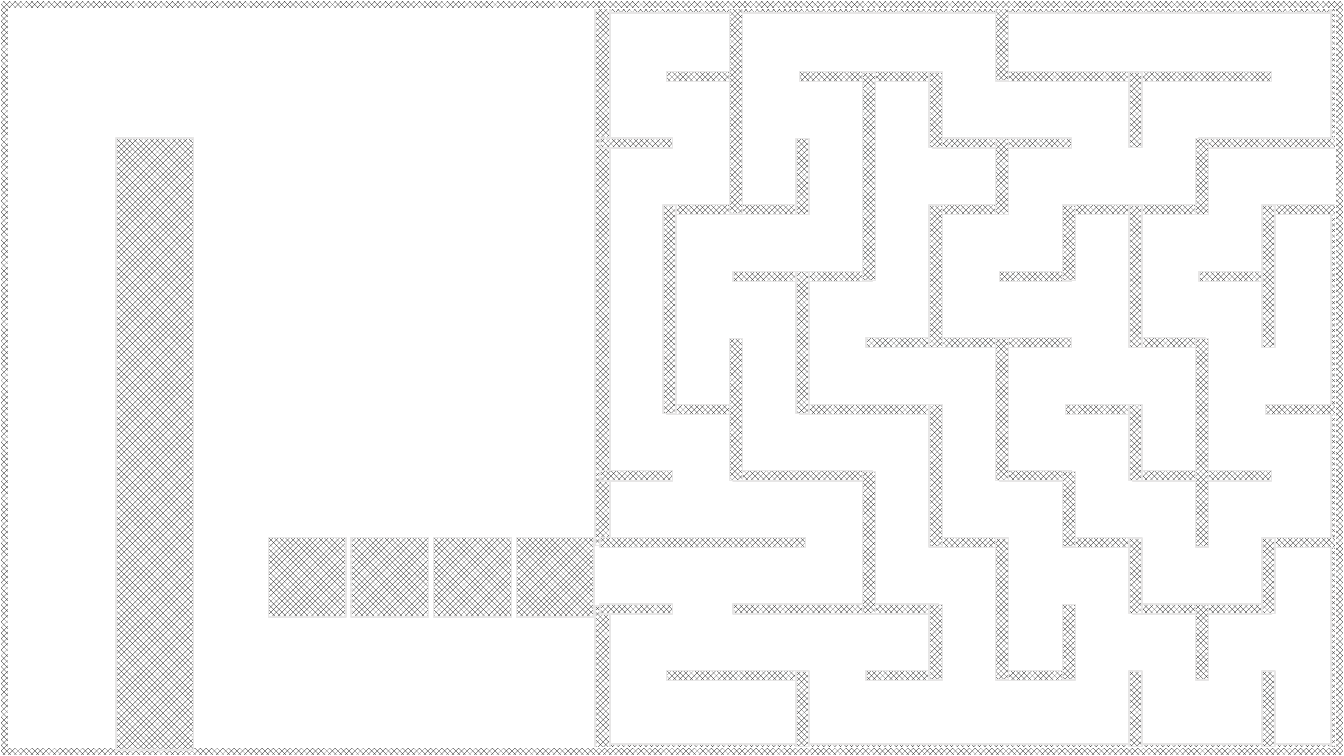
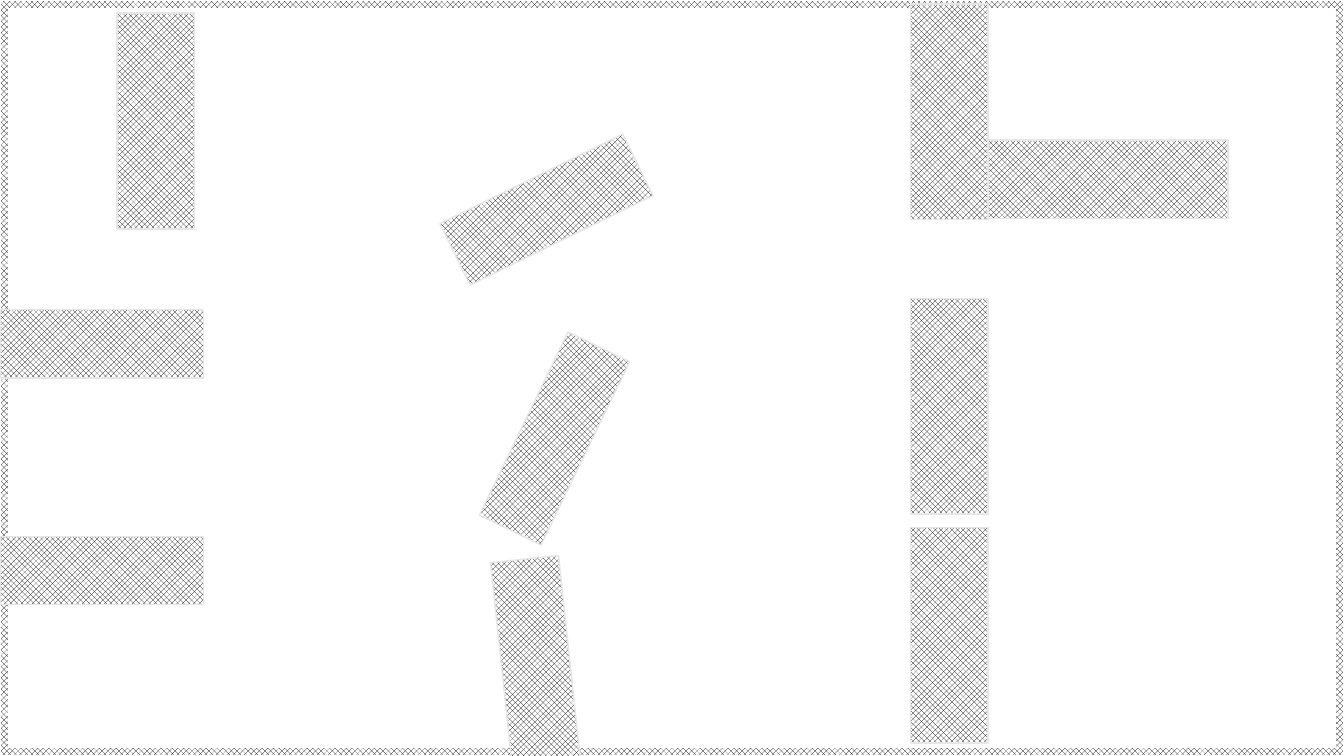
from itertools import groupby

from pptx import Presentation
from pptx.dml.color import RGBColor
from pptx.enum.dml import MSO_PATTERN
from pptx.enum.shapes import MSO_SHAPE
from pptx.util import Inches, Pt

CHECK = MSO_PATTERN.LARGE_CHECKER_BOARD
RECT = MSO_SHAPE.RECTANGLE
FRAME = MSO_SHAPE.FRAME
COLORS = {"ink": "000000", "paper": "FFFFFF", "edge": "E7E6E6"}
WIDTH, HEIGHT = 13.33, 7.5

CELL = 0.66
MAZE_LEFT, MAZE_TOP = 5.98, 0.1
ACROSS = {"thick": 0.1, "over": 0.06}
DOWN = {"thick": 0.13, "over": 0.09}
ROWS = [
    ".#.##.####.",
    "#....##..##",
    ".##..#.##.#",
    "..##..#..#.",
    "....###.#..",
    ".#.##..#..#",
    "#.##..#.##.",
    "###..#.#..#",
    "#.###...##.",
    ".##.#.#....",
]
COLUMNS = [
    "...###.....",
    "###..##....",
    "..#.##....#",
    ".###...##..",
    ".#.##.##.#.",
    "#.#..##.##.",
    "...#...#.#.",
    ".#.##.#.#.#",
    "..#..###.#.",
    "...##...#.#",
]


def draw(slide, kind, left, top, width, height, turn=180, edge="edge"):
    shape = slide.shapes.add_shape(
        kind, Inches(left), Inches(top), Inches(width), Inches(height))
    shape.rotation = turn
    shape.shadow.inherit = False
    shape.fill.patterned()
    shape.line.fill.solid()
    formats = [
        (shape.fill, {"pattern": CHECK}),
        (shape.fill.fore_color, {"rgb": RGBColor.from_string(COLORS["ink"])}),
        (shape.fill.back_color, {"rgb": RGBColor.from_string(COLORS["paper"])}),
        (shape.line, {"width": Pt(1)}),
        (shape.line.color, {"rgb": RGBColor.from_string(COLORS[edge])}),
    ]
    for target, values in formats:
        for name, value in values.items():
            setattr(target, name, value)
    return shape


def border(slide):
    frame = draw(slide, FRAME, 0, 0, WIDTH, HEIGHT, 0, "paper")
    frame.adjustments[0] = 0.011


deck = Presentation()
deck.slide_width = Inches(WIDTH)
deck.slide_height = Inches(HEIGHT)
blank = deck.slide_layouts[6]

maze = deck.slides.add_slide(blank)

GATE_TOP, GATE_END = 5.41, 6.01
EXIT_TOP, EXIT_END = 1.47, 2.04
MAZE_END = 7.44
for left, top, end in [
    (5.9, 0.05, GATE_TOP), (5.9, GATE_END, MAZE_END),
    (13.2, 0.07, EXIT_TOP), (13.2, EXIT_END, MAZE_END),
]:
    draw(maze, RECT, left, top, 0.15, end - top)
for top in (0.07, 7.38):
    draw(maze, RECT, 6.05, top, 7.14, 0.06)

for style, lines in ((ACROSS, ROWS), (DOWN, COLUMNS)):
    thick, over = style["thick"], style["over"]
    for line, marks in enumerate(lines, start=1):
        for wall, run in groupby(enumerate(marks), key=lambda pair: pair[1] == "#"):
            if not wall:
                continue
            cells = [cell for cell, mark in run]
            along = cells[0] * CELL - over / 2
            aside = line * CELL - thick / 2
            length = len(cells) * CELL + over
            if style is ACROSS:
                draw(maze, RECT, MAZE_LEFT + along, MAZE_TOP + aside, length, thick)
            else:
                draw(maze, RECT, MAZE_LEFT + aside, MAZE_TOP + along, thick, length)

border(maze)
BLOCK = 0.77
for step in range(4):
    draw(maze, RECT, 2.66 + 0.82 * step, 5.33, BLOCK, 0.79)
draw(maze, RECT, 1.15, 1.37, BLOCK, 6.07)

field = deck.slides.add_slide(blank)
border(field)

PILLAR = 2.14
PILLAR_LEFT = 9.03
for left, top in [(1.16, 0.13)] + [(PILLAR_LEFT, top) for top in (0.04, 2.96, 5.23)]:
    draw(field, RECT, left, top, BLOCK, PILLAR)
draw(field, RECT, PILLAR_LEFT + BLOCK, 1.39, 2.38, 0.78)

PLANK, DEPTH = 2.02, 0.68
ledges = [(0, top, 180) for top in (3.07, 5.32)]
tilted = [(4.49, 4.01, 115.8), (4.41, 1.74, 333.9), (4.3, 6.21, 263.9)]
for left, top, turn in ledges + tilted:
    draw(field, RECT, left, top, PLANK, DEPTH, turn)

deck.save("out.pptx")
